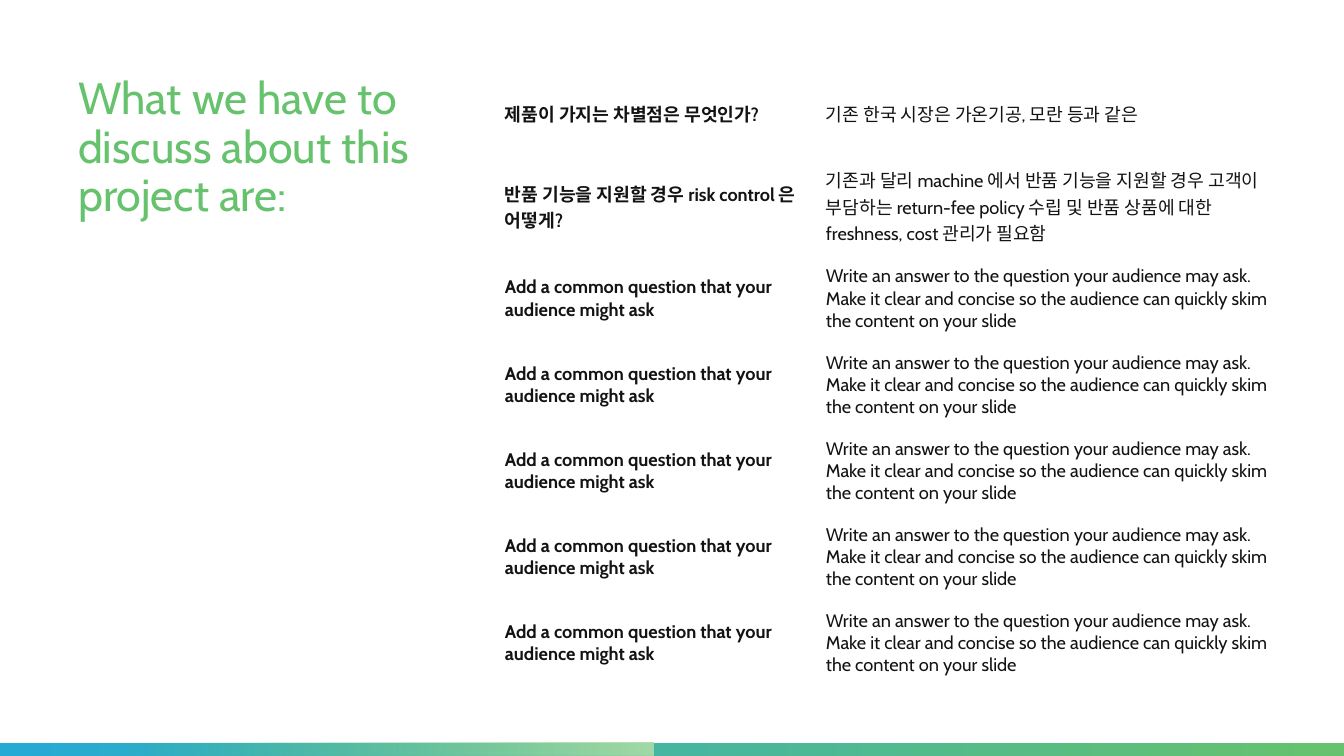
from lxml.etree import SubElement
from pptx import Presentation
from pptx.dml.color import RGBColor
from pptx.enum.shapes import MSO_SHAPE as Preset
from pptx.enum.text import MSO_ANCHOR as Anchor, MSO_AUTO_SIZE as AutoSize, PP_ALIGN as Align
from pptx.oxml.ns import qn
from pptx.util import Pt

EMU_PER_PX = 12192000 / 1344
WIDTH, HEIGHT = 1344, 756
BLUE, GREEN, PALE_GREEN, INK = "25AAD5", "66C26C", "A3DAA7", "131313"

HEADING = "What we have to discuss about this project are:"
QUESTION = "Add a common question that your audience might ask"
ANSWER = (
    "Write an answer to the question your audience may ask. Make it clear and "
    "concise so the audience can quickly skim the content on your slide"
)
DISCUSSION = [
    ("제품이 가지는 차별점은 무엇인가?", "기존 한국 시장은 가온기공, 모란 등과 같은"),
    (
        "반품 기능을 지원할 경우 risk control 은 어떻게?",
        "기존과 달리 machine 에서 반품 기능을 지원할 경우 고객이 부담하는 "
        "return-fee policy 수립 및 반품 상품에 대한 freshness, cost 관리가 필요함",
    ),
] + [(QUESTION, ANSWER)] * 5


def px(length):
    return round(length * EMU_PER_PX)


def color(hex_string):
    return RGBColor.from_string(hex_string)


def apply(target, values):
    for name, value in values.items():
        setattr(target, name, value)


class SlideBuilder:
    font = "Cabin"

    def __init__(self, deck):
        self.slide = deck.slides.add_slide(deck.slide_layouts[5])

    def set_text(self, frame, text, size, ink, bold=False, **paragraph_format):
        paragraph = frame.paragraphs[0]
        paragraph.text = text
        apply(paragraph, paragraph_format)
        apply(paragraph.font, {"name": self.font, "size": Pt(size), "bold": bold})
        paragraph.font.color.rgb = color(ink)

    def title(self, text, left, top, width, height):
        heading = self.slide.shapes.title
        apply(heading, {"left": px(left), "top": px(top), "width": px(width), "height": px(height)})
        apply(heading.text_frame, {
            "word_wrap": True,
            "auto_size": AutoSize.NONE,
            "vertical_anchor": Anchor.TOP,
        })
        self.set_text(heading.text_frame, text, 32, GREEN, alignment=Align.LEFT, line_spacing=0.9)

    def gradient_bar(self, left, top, width, height, stops):
        bar = self.slide.shapes.add_shape(
            Preset.RECTANGLE, px(left), px(top), px(width), px(height))
        bar.shadow.inherit = False
        bar.line.fill.background()
        bar.fill.gradient()
        bar.fill.gradient_angle = 0
        for stop, (position, hex_string, _) in zip(bar.fill.gradient_stops, stops):
            stop.position = position
            stop.color.rgb = color(hex_string)
        for swatch, (_, _, opacity) in zip(bar.element.iter(qn("a:srgbClr")), stops):
            if opacity < 100:
                SubElement(swatch, qn("a:alpha")).set("val", str(opacity * 1000))

    def question_table(self, rows, left, top, column_widths, row_height):
        table = self.slide.shapes.add_table(
            len(rows), len(column_widths), px(left), px(top),
            px(sum(column_widths)), px(row_height * len(rows))).table
        apply(table, {"first_row": False, "horz_banding": False})
        for column, width in zip(table.columns, column_widths):
            column.width = px(width)
        margins = {f"margin_{side}": px(10) for side in ("left", "top", "right", "bottom")}
        for row, texts in zip(table.rows, rows):
            row.height = px(row_height)
            for index, (cell, text) in enumerate(zip(row.cells, texts)):
                cell.fill.background()
                apply(cell, {"vertical_anchor": Anchor.MIDDLE, **margins})
                self.set_text(cell.text_frame, text, 13, INK, bold=index == 0)


def main():
    deck = Presentation()
    apply(deck, {"slide_width": px(WIDTH), "slide_height": px(HEIGHT)})
    builder = SlideBuilder(deck)
    builder.gradient_bar(0, 743, WIDTH, 13, [(0, BLUE, 100), (1, GREEN, 100)])
    builder.gradient_bar(0, 743, 654, 13, [(0.19, GREEN, 0), (1, PALE_GREEN, 100)])
    builder.title(HEADING, 68, 71, 465, 346)
    builder.question_table(DISCUSSION, 495, 71, (321, 461), 86)
    deck.save("out.pptx")


if __name__ == "__main__":
    main()
